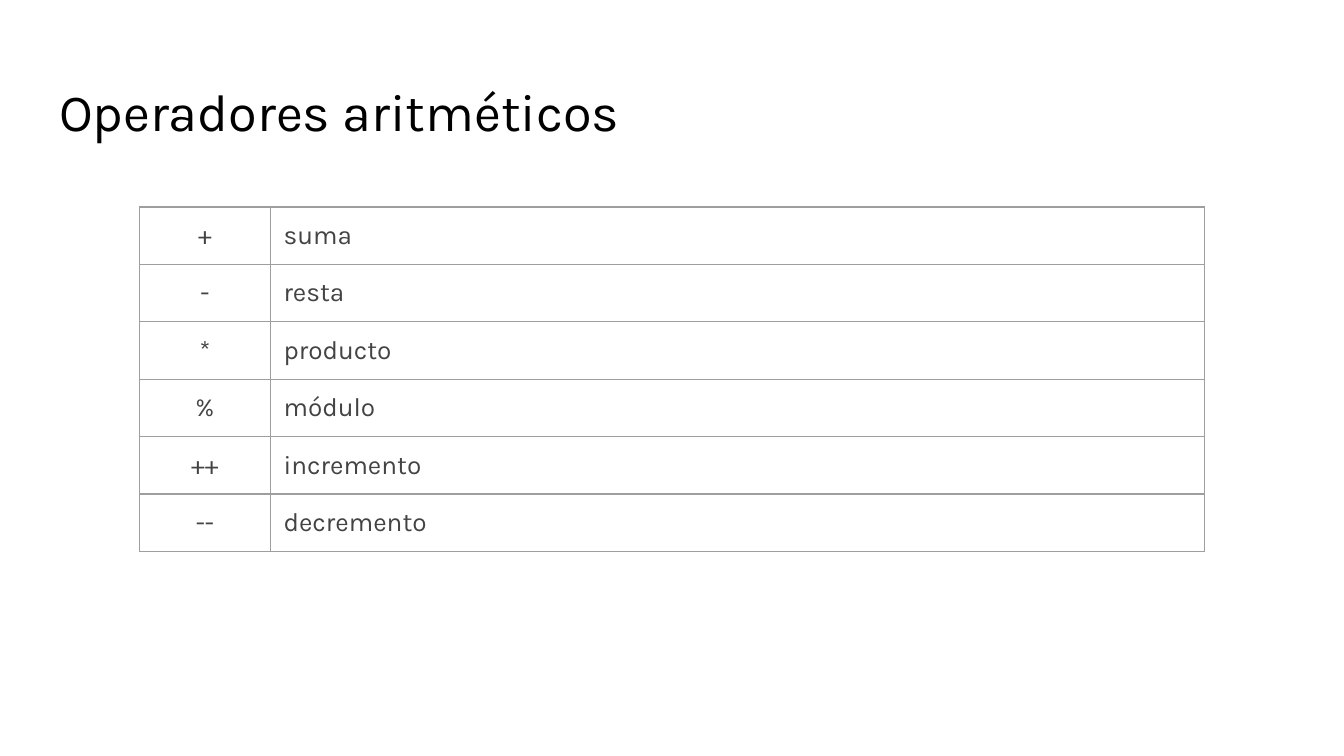
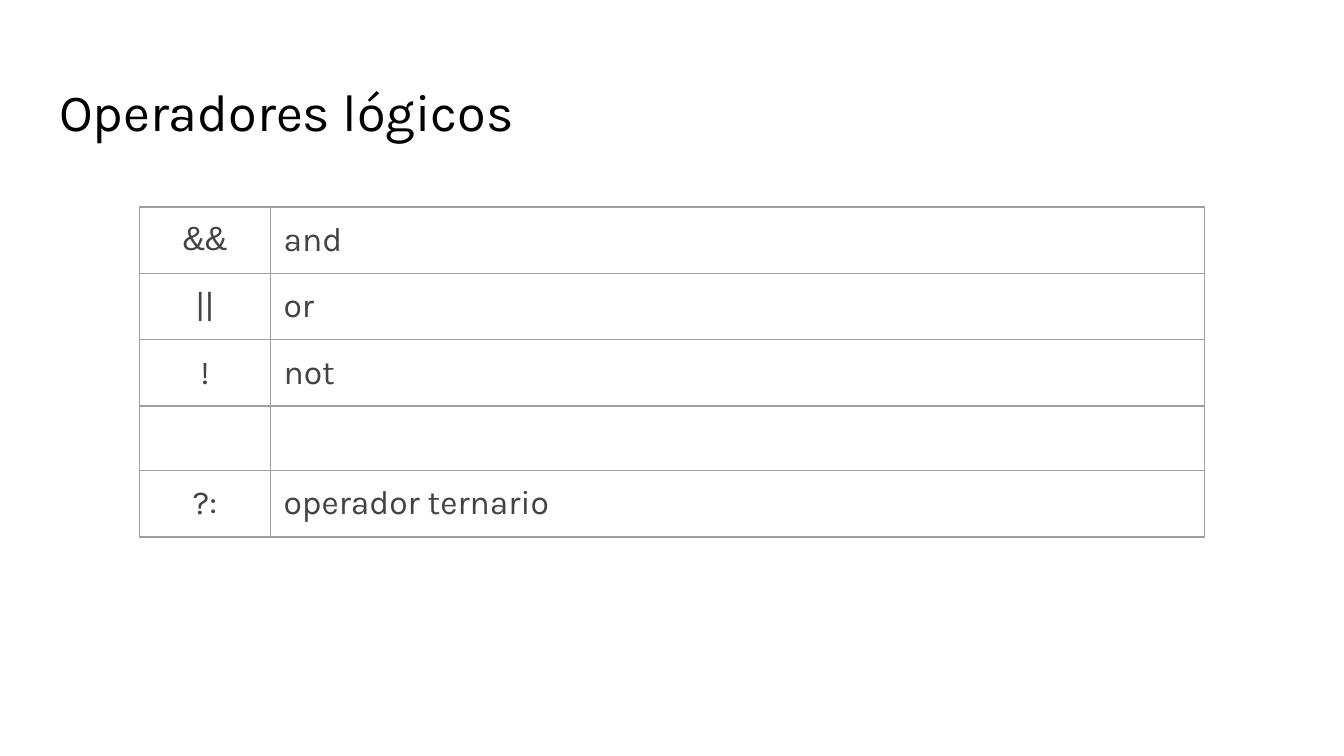
from lxml.etree import SubElement
from pptx import Presentation
from pptx.dml.color import RGBColor
from pptx.enum.text import MSO_ANCHOR, MSO_AUTO_SIZE, PP_ALIGN
from pptx.oxml.ns import qn
from pptx.util import Inches, Pt

COLORS = {"title": "000000", "text": "434343", "border": "9E9E9E"}
FONT = "Karla"
PLAIN_FONT = "Arial"
INSET = Inches(0.1)
SLIDE_WIDTH = Inches(10)
SLIDE_HEIGHT = SLIDE_WIDTH * 9 // 16
COLUMN_WIDTHS = (0.97, 6.95)
ROW_HEIGHT = 0.42
TABLE_LEFT, TABLE_TOP = 1.04, 1.54

# Title, text size, font of the first symbol, rows of symbol and meaning
SLIDES = [
    ("Operadores aritméticos", 14, FONT, [
        ("+", "suma"),
        ("-", "resta"),
        ("*", "producto"),
        ("%", "módulo"),
        ("++", "incremento"),
        ("--", "decremento"),
    ]),
    ("Operadores lógicos", 18, PLAIN_FONT, [
        ("&&", "and"),
        ("||", "or"),
        ("!", "not"),
        ("", ""),
        ("?:", "operador ternario"),
    ]),
]


def set_insets(box):
    box.margin_left = box.margin_right = INSET
    box.margin_top = box.margin_bottom = INSET


def format_runs(paragraph, size, color, font=FONT):
    for run in paragraph.runs:
        run.font.size = Pt(size)
        run.font.name = font
        run.font.color.rgb = RGBColor.from_string(COLORS[color])


def add_title(slide, text):
    title = slide.shapes.title
    title.left, title.top = Inches(0.34), Inches(0.49)
    title.width, title.height = Inches(9.32), Inches(0.63)
    frame = title.text_frame
    frame.text = text
    frame.word_wrap = True
    frame.auto_size = MSO_AUTO_SIZE.NONE
    frame.vertical_anchor = MSO_ANCHOR.TOP
    set_insets(frame)
    frame.paragraphs[0].alignment = PP_ALIGN.LEFT
    format_runs(frame.paragraphs[0], 28, "title")


def add_borders(cell):
    properties = cell._tc.get_or_add_tcPr()
    for index, side in enumerate(("a:lnL", "a:lnR", "a:lnT", "a:lnB")):
        line = properties.makeelement(qn(side), {"w": str(Pt(0.75))})
        fill = SubElement(line, qn("a:solidFill"))
        SubElement(fill, qn("a:srgbClr"), val=COLORS["border"])
        properties.insert(index, line)


def fill_cell(cell, text, size, font, alignment):
    cell.fill.background()
    set_insets(cell)
    add_borders(cell)
    paragraph = cell.text_frame.paragraphs[0]
    if text:
        paragraph.text = text
        paragraph.alignment = alignment
        format_runs(paragraph, size, "text", font)
    else:  # an empty cell keeps the row as tall as its text size
        end = SubElement(paragraph._p, qn("a:endParaRPr"), sz=str(size * 100))
        SubElement(end, qn("a:latin"), typeface=PLAIN_FONT)


def add_operator_table(slide, rows, size, first_font):
    frame = slide.shapes.add_table(
        len(rows), len(COLUMN_WIDTHS), Inches(TABLE_LEFT), Inches(TABLE_TOP),
        Inches(sum(COLUMN_WIDTHS)), Inches(ROW_HEIGHT * len(rows)))
    table = frame.table
    table.first_row = table.horz_banding = False
    for column, width in zip(table.columns, COLUMN_WIDTHS):
        column.width = Inches(width)
    for row_index, (symbol, meaning) in enumerate(rows):
        table.rows[row_index].height = Inches(ROW_HEIGHT)
        symbol_font = first_font if row_index == 0 else FONT
        fill_cell(table.cell(row_index, 0), symbol, size, symbol_font, PP_ALIGN.CENTER)
        fill_cell(table.cell(row_index, 1), meaning, size, FONT, PP_ALIGN.LEFT)


def main():
    presentation = Presentation()
    presentation.slide_width = SLIDE_WIDTH
    presentation.slide_height = SLIDE_HEIGHT
    title_only = presentation.slide_layouts[5]
    for title, size, first_font, rows in SLIDES:
        slide = presentation.slides.add_slide(title_only)
        add_title(slide, title)
        add_operator_table(slide, rows, size, first_font)
    presentation.save("out.pptx")


if __name__ == "__main__":
    main()
